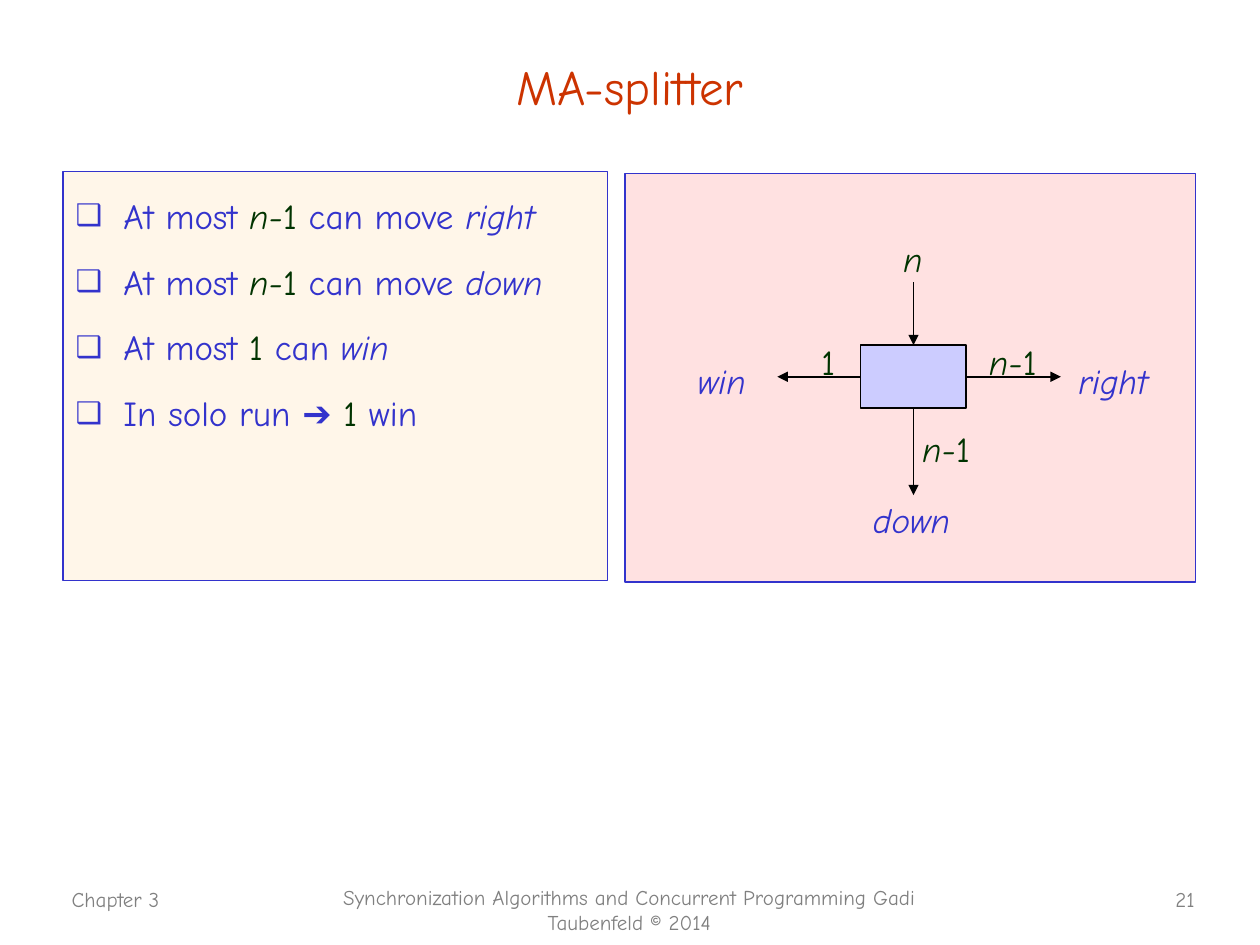
import pptx
import pptx.util
import pptx.dml.color
import pptx.enum.shapes
import pptx.enum.text
import lxml.etree
import pptx.oxml.ns

Inches, Pt = pptx.util.Inches, pptx.util.Pt
ALIGN = pptx.enum.text.PP_ALIGN
RECT = pptx.enum.shapes.MSO_SHAPE.RECTANGLE
qn = pptx.oxml.ns.qn
BLUE, GREEN, RED, GRAY, BLACK = "3333CC", "003300", "CC3300", "808080", "000000"


def color(value):
    """Turn a hex string into a colour."""
    return pptx.dml.color.RGBColor.from_string(value)


def write(p, runs, size=20):
    """Add (text, colour, italic) runs to a paragraph."""
    for text, hue, italic in runs:
        r = p.add_run()
        r.text = text
        r.font.name = "Comic Neue"
        r.font.size = Pt(size)
        r.font.italic = italic
        r.font.color.rgb = color(hue)


prs = pptx.Presentation()
prs.slide_width, prs.slide_height = Inches(10), Inches(7.5)
s = prs.slides.add_slide(prs.slide_layouts[1])
title, body = s.placeholders

# Title
title.left, title.top = Inches(0.75), Inches(0.22)
title.width, title.height = Inches(8.5), Inches(0.92)
title.text_frame.vertical_anchor = pptx.enum.text.MSO_ANCHOR.MIDDLE
p = title.text_frame.paragraphs[0]
p.alignment = ALIGN.CENTER
write(p, [("MA-splitter", RED, False)], 28)

# Property list
body.left, body.top = Inches(0.5), Inches(1.36)
body.width, body.height = Inches(4.32), Inches(3.25)
body.fill.solid()
body.fill.fore_color.rgb = color("FFF6E9")
body.line.color.rgb = color(BLUE)
body.line.width = Pt(0.75)

at_most = ("At most ", BLUE, False)
minus_one = [("n-", GREEN, True), ("1", GREEN, False)]
one = ("1", GREEN, False)
can_move = (" can move ", BLUE, False)
properties = [
    [at_most, *minus_one, can_move, ("right", BLUE, True)],
    [at_most, *minus_one, can_move, ("down", BLUE, True)],
    [at_most, one, (" can ", BLUE, False), ("win", BLUE, True)],
    [("In solo run ➔ ", BLUE, False), one, (" win", BLUE, False)],
]
tf = body.text_frame
for i, runs in enumerate(properties):
    p = tf.add_paragraph() if i else tf.paragraphs[0]
    p.line_spacing = 1.4
    p.space_before = Pt(4)
    write(p, runs)
    pPr = p._p.get_or_add_pPr()
    pPr.set("marL", str(Inches(0.38)))
    pPr.set("indent", str(-Inches(0.38)))
    bullet_color = lxml.etree.SubElement(pPr, qn("a:buClr"))
    lxml.etree.SubElement(bullet_color, qn("a:srgbClr")).set("val", BLUE)
    lxml.etree.SubElement(pPr, qn("a:buSzPct")).set("val", "85000")
    lxml.etree.SubElement(pPr, qn("a:buChar")).set("char", "❑")

# Diagram panel and splitter box
for left, top, width, height, fill, line, weight in [
    (4.96, 1.38, 4.53, 3.24, "FFE1E1", BLUE, 0.75),
    (6.83, 2.74, 0.84, 0.5, "CCCCFF", BLACK, 1),
]:
    sp = s.shapes.add_shape(RECT, Inches(left), Inches(top), Inches(width), Inches(height))
    sp.shadow.inherit = False
    sp.fill.solid()
    sp.fill.fore_color.rgb = color(fill)
    sp.line.color.rgb = color(line)
    sp.line.width = Pt(weight)

# Arrows: in from the top, out to the bottom, right and left
center_x, center_y = 7.25, 2.99
for x1, y1, x2, y2 in [
    (center_x, 2.24, center_x, 2.74),
    (center_x, 3.24, center_x, 3.93),
    (7.67, center_y, 8.42, center_y),
    (6.83, center_y, 6.17, center_y),
]:
    arrow = s.shapes.add_connector(
        pptx.enum.shapes.MSO_CONNECTOR.STRAIGHT,
        Inches(x1), Inches(y1), Inches(x2), Inches(y2))
    arrow.line.color.rgb = color(BLACK)
    arrow.line.width = Pt(1)
    tail = lxml.etree.SubElement(arrow.line._get_or_add_ln(), qn("a:tailEnd"))
    tail.set("type", "triangle")
    lxml.etree.SubElement(arrow._element.spPr, qn("a:effectLst"))

# Diagram labels and footer
labels = [
    (5.44, 2.64, 1.17, [("win", BLUE, True)]),
    (6.83, 3.74, 1.17, [("down", BLUE, True)]),
    (8.46, 2.64, 1.17, [("right", BLUE, True)]),
    (7.07, 1.67, 0.33, [("n", GREEN, True)]),
    (6.42, 2.49, 0.33, [one]),
    (7.75, 2.49, 0.75, minus_one),
    (7.22, 3.18, 0.75, minus_one),
]
credit = "Synchronization Algorithms and Concurrent Programming Gadi Taubenfeld © 2014"
footer = [
    (0.47, 6.99, 2.08, "Chapter 3", ALIGN.LEFT),
    (2.58, 6.97, 4.83, credit, ALIGN.CENTER),
    (9.11, 6.99, 0.47, "21", ALIGN.RIGHT),
]
texts = [(x, y, w, 0.6, runs, 20, 1.5, ALIGN.LEFT) for x, y, w, runs in labels]
texts += [(x, y, w, 0.5, [(text, GRAY, False)], 12, 1.0, align)
          for x, y, w, text, align in footer]
for left, top, width, height, runs, size, spacing, align in texts:
    box = s.shapes.add_textbox(Inches(left), Inches(top), Inches(width), Inches(height))
    box.text_frame.word_wrap = True
    p = box.text_frame.paragraphs[0]
    p.alignment = align
    p.line_spacing = spacing
    write(p, runs, size)

prs.save("out.pptx")
